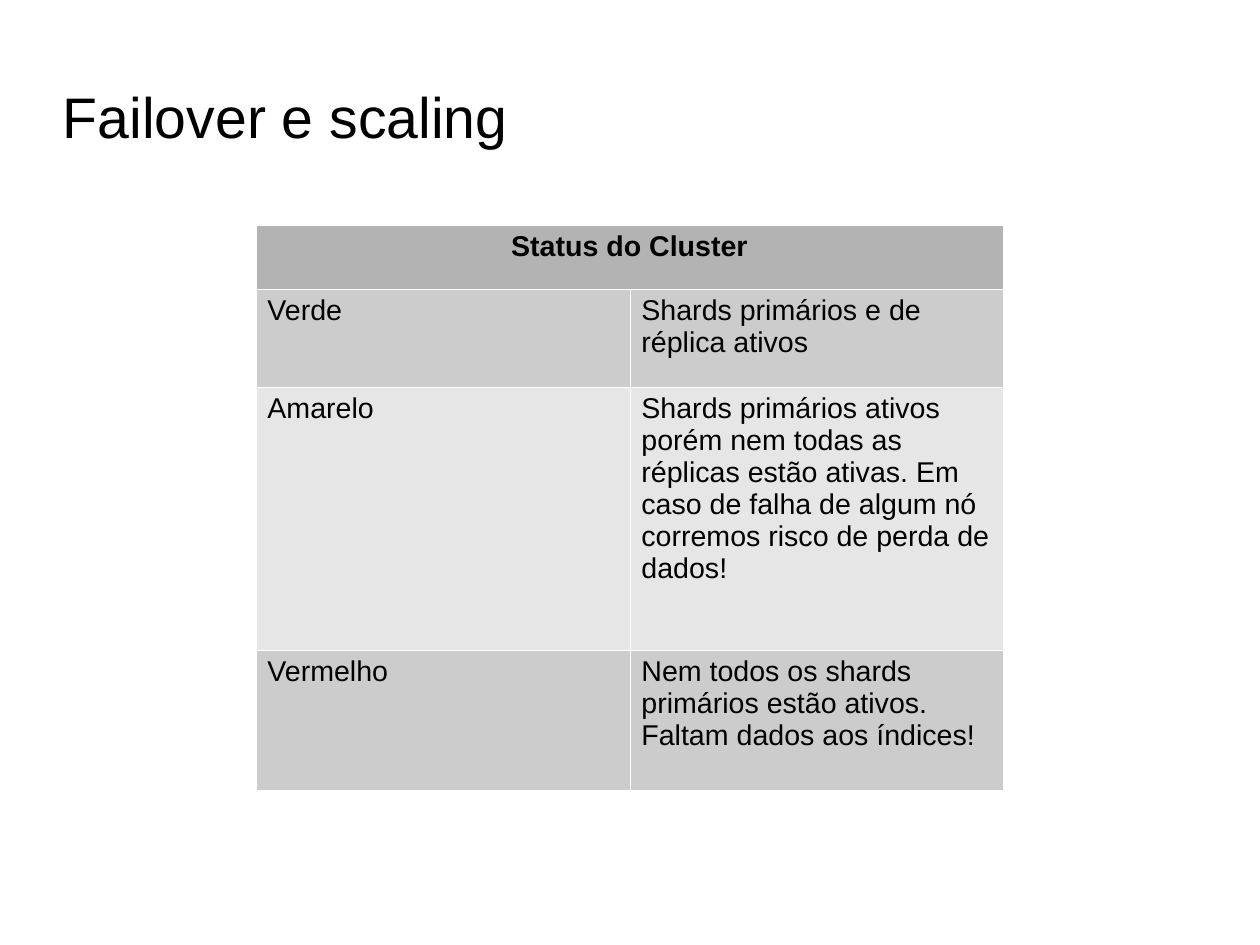
from lxml import etree
from pptx import Presentation
from pptx import util as u
from pptx.dml.color import RGBColor
from pptx.enum import text
from pptx.oxml.ns import qn

SLIDE_SIZE = (1260, 945)
EMU_PER_PX = 8000
TITLE = "Failover e scaling"
TITLE_BOX = (63, 71, 900, 90)
HEADER = "Status do Cluster"
STATUSES = [
    ("Verde", "Shards primários e de réplica ativos"),
    ("Amarelo", "Shards primários ativos porém nem todas as réplicas estão ativas. "
                "Em caso de falha de algum nó corremos risco de perda de dados!"),
    ("Vermelho", "Nem todos os shards primários estão ativos. Faltam dados aos índices!"),
]
TABLE_LEFT, TABLE_TOP = 256, 225
COL_WIDTHS = [374, 373]
ROW_HEIGHTS = [64, 98, 263, 140]
ROW_FILLS = ["B3B3B3", "CCCCCC", "E6E6E6", "CCCCCC"]
BLACK, WHITE = "000000", "FFFFFF"
BORDER_PT = 0.06


def px(n):
    """Convert px to EMU."""
    return u.Emu(n * EMU_PER_PX)


def rgb(value):
    return RGBColor.from_string(value)


def write(tf, content, size, bold=False, align=text.PP_ALIGN.LEFT):
    tf.text = content
    p = tf.paragraphs[0]
    p.alignment = align
    font = p.runs[0].font
    font.name, font.size, font.bold = "Arial", u.Pt(size), bold
    font.color.rgb = rgb(BLACK)


def set_borders(cell, color):
    tc_pr = cell._tc.get_or_add_tcPr()
    for side in ("a:lnL", "a:lnR", "a:lnT", "a:lnB"):
        ln = etree.SubElement(tc_pr, qn(side), w=str(u.Pt(BORDER_PT)))
        fill = etree.SubElement(ln, qn("a:solidFill"))
        etree.SubElement(fill, qn("a:srgbClr"), val=color)


def add_title(slide):
    tf = slide.shapes.add_textbox(*map(px, TITLE_BOX)).text_frame
    tf.word_wrap = True
    tf.vertical_anchor = text.MSO_ANCHOR.MIDDLE
    tf.margin_left = tf.margin_right = tf.margin_top = tf.margin_bottom = 0
    write(tf, TITLE, 36)


def add_status_table(slide):
    rows = [(HEADER, "")] + STATUSES
    table = slide.shapes.add_table(
        len(rows), len(COL_WIDTHS), px(TABLE_LEFT), px(TABLE_TOP),
        px(sum(COL_WIDTHS)), px(sum(ROW_HEIGHTS))).table
    table.horz_banding = False
    for col, width in zip(table.columns, COL_WIDTHS):
        col.width = px(width)
    table.cell(0, 0).merge(table.cell(0, 1))

    for r, (row, height, fill) in enumerate(zip(rows, ROW_HEIGHTS, ROW_FILLS)):
        table.rows[r].height = px(height)
        align = text.PP_ALIGN.CENTER if r == 0 else text.PP_ALIGN.LEFT
        for c, content in enumerate(row):
            cell = table.cell(r, c)
            set_borders(cell, WHITE)
            cell.fill.solid()
            cell.fill.fore_color.rgb = rgb(fill)
            if content:
                write(cell.text_frame, content, 18, r == 0, align)


def main():
    prs = Presentation()
    prs.slide_width, prs.slide_height = map(px, SLIDE_SIZE)
    slide = prs.slides.add_slide(prs.slide_layouts[6])
    add_title(slide)
    add_status_table(slide)
    prs.save("out.pptx")


if __name__ == "__main__":
    main()
